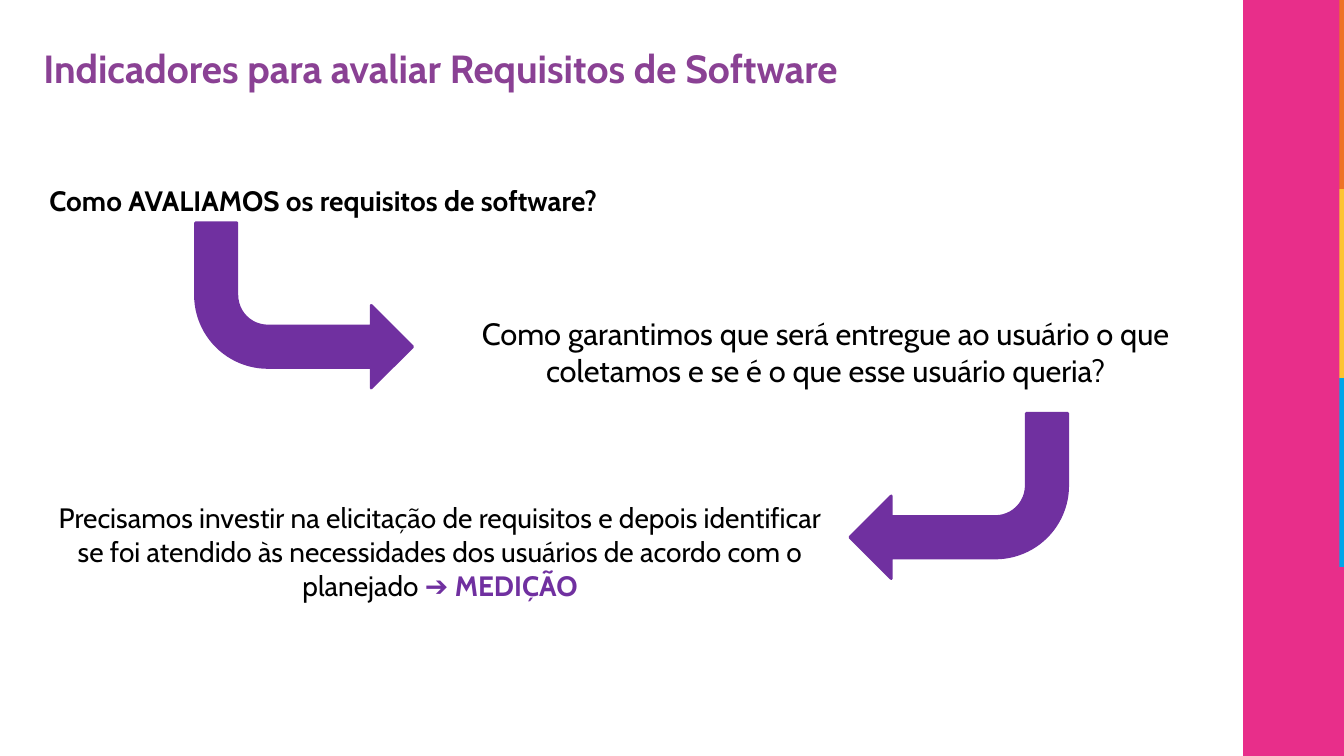
from pptx import Presentation
from pptx import util as u
from pptx.dml.color import RGBColor
from pptx.enum import shapes, text

PURPLE, PINK = "7030A0", "E82E8A"
STRIPES = ["EE7325", "FDC432", "00A6E9", PINK]


def colour(hex_code):
    return RGBColor.from_string(hex_code)


def write(paragraph, words, size=20, ink="000000", bold=False, font="Cabin"):
    run = paragraph.add_run()
    run.text = words
    run.font.name, run.font.size, run.font.bold = font, u.Pt(size), bold
    run.font.color.rgb = colour(ink)


class Page:
    """Places elements by percent of the slide's width and height."""

    def __init__(self, deck):
        self.deck = deck
        self.slide = deck.slides.add_slide(deck.slide_layouts[5])

    def area(self, left, top, width, height):
        across, down = self.deck.slide_width / 100, self.deck.slide_height / 100
        return [round(n) for n in (left * across, top * down, width * across, height * down)]

    def title(self, words, *place):
        heading = self.slide.shapes.title
        heading.left, heading.top, heading.width, heading.height = self.area(*place)
        frame = heading.text_frame
        frame.auto_size = text.MSO_AUTO_SIZE.NONE
        frame.vertical_anchor = text.MSO_ANCHOR.TOP
        frame.paragraphs[0].alignment = text.PP_ALIGN.LEFT
        write(frame.paragraphs[0], words, size=28, ink="8A4194", bold=True)

    def statement(self, parts, *place, align=text.PP_ALIGN.CENTER, inset=0.1):
        frame = self.slide.shapes.add_textbox(*self.area(*place)).text_frame
        frame.word_wrap = True
        frame.auto_size = text.MSO_AUTO_SIZE.SHAPE_TO_FIT_TEXT
        frame.margin_left = u.Inches(inset)
        frame.paragraphs[0].alignment = align
        for words, style in parts:
            write(frame.paragraphs[0], words, **style)

    def shape(self, kind, fill, *place):
        item = self.slide.shapes.add_shape(kind, *self.area(*place))
        item.shadow.inherit = False
        item.fill.solid()
        item.fill.fore_color.rgb = colour(fill)
        item.line.fill.background()
        return item

    def arrow(self, *place, to_left=False):
        bend = self.shape(shapes.MSO_SHAPE.BENT_ARROW, PURPLE, *place)
        bend.line.color.rgb = colour(PURPLE)
        bend.line.width = u.Pt(2)
        frame = bend._element.spPr.xfrm
        frame.set("flipV", "1")
        if to_left:
            frame.set("flipH", "1")


def main():
    deck = Presentation()
    deck.slide_width, deck.slide_height = u.Inches(13.33), u.Inches(7.5)
    page = Page(deck)

    # Side band with its edge of coloured stripes
    page.shape(shapes.MSO_SHAPE.RECTANGLE, PINK, 92.5, 0, 7.5, 100)
    step = 100 / len(STRIPES)
    for row, stripe in enumerate(STRIPES):
        page.shape(shapes.MSO_SHAPE.RECTANGLE, stripe, 99.66, row * step, 0.34, step)

    # Title
    page.title("Indicadores para avaliar Requisitos de Software", 2.48, 5.2, 85.9, 9.2)

    # Question, follow-up and conclusion
    page.statement([("Como AVALIAMOS os requisitos de software?", {"bold": True})],
                   2.48, 23.6, 87.7, 5.87, align=text.PP_ALIGN.LEFT, inset=0.16)
    page.statement([("Como garantimos que será entregue ao usuário o que coletamos "
                     "e se é o que esse usuário queria?", {"size": 22})],
                   32.7, 40.93, 57.46, 11.2)
    page.statement([("Precisamos investir na elicitação de requisitos e depois identificar "
                     "se foi atendido às necessidades dos usuários de acordo com o planejado ", {}),
                    ("➔ ", {"ink": PURPLE}),
                    ("MEDIÇÃO", {"ink": PURPLE, "bold": True})],
                   3, 65.6, 59.49, 14.8)

    # Arrows linking the three statements
    page.arrow(14.55, 29.47, 16.15, 21.87)
    page.arrow(63.24, 54.67, 16.2, 21.87, to_left=True)

    deck.save("out.pptx")


if __name__ == "__main__":
    main()
